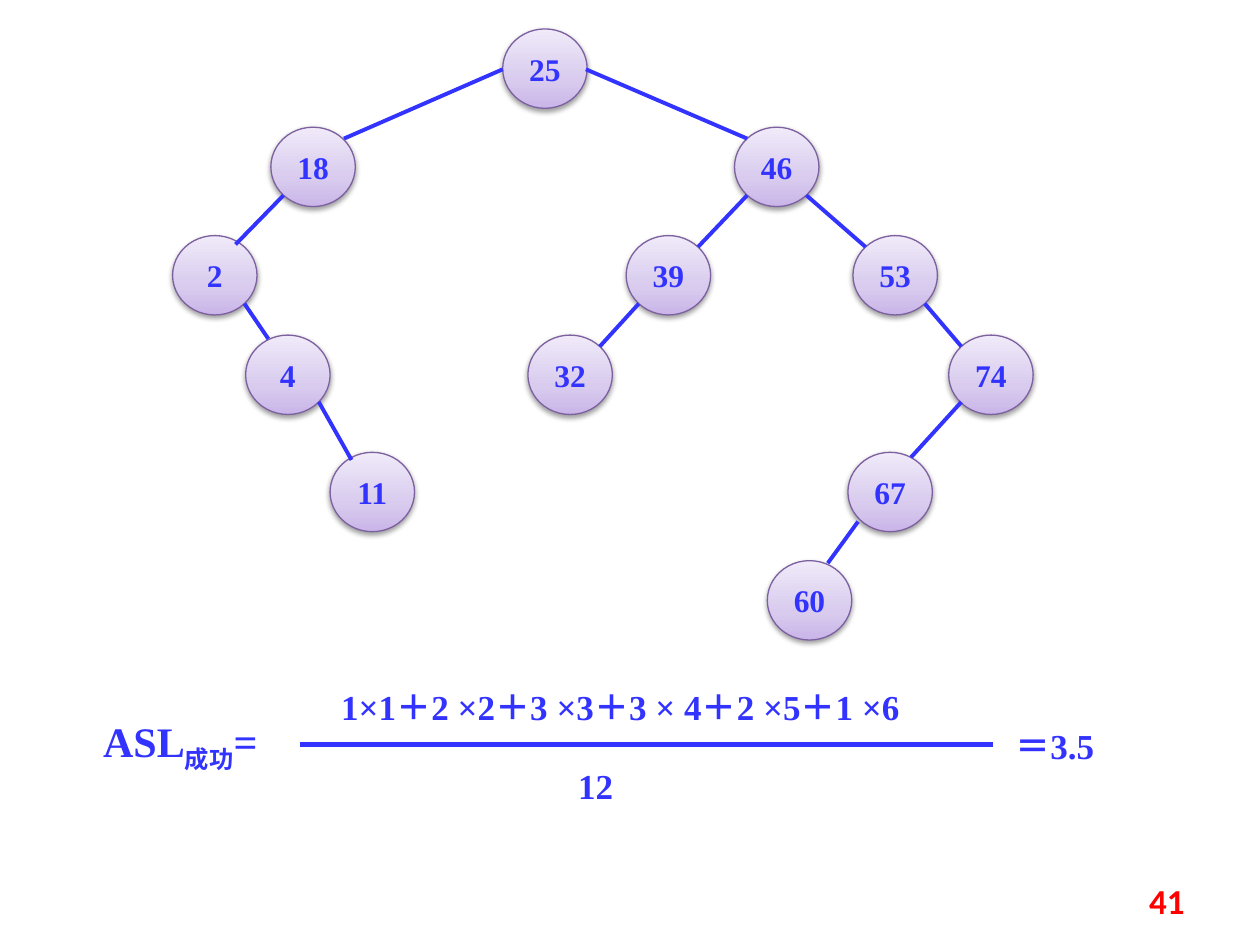
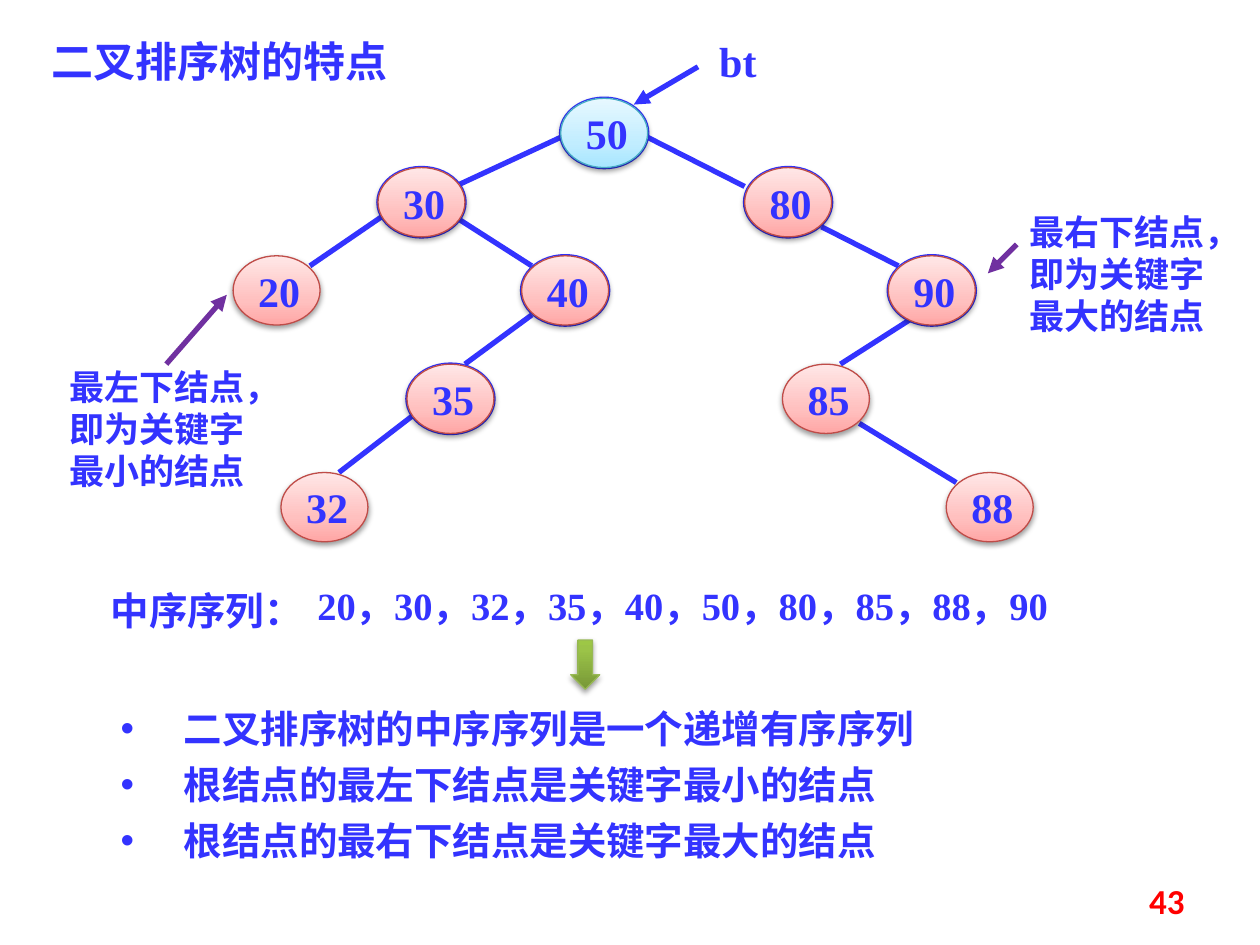
from lxml import etree
from pptx import Presentation
from pptx.dml.color import RGBColor
from pptx.enum.shapes import MSO_CONNECTOR as CONNECTOR, MSO_SHAPE as SHAPE
from pptx.enum.text import MSO_ANCHOR as ANCHOR, PP_ALIGN as ALIGN
from pptx.oxml import parse_xml
from pptx.oxml.ns import nsdecls, qn
from pptx.util import Inches, Pt

BLUE = RGBColor(0x33, 0x33, 0xFF)
PURPLE = RGBColor(0x70, 0x30, 0xA0)
RED = RGBColor(0xFF, 0x00, 0x00)
SERIF, SANS, CJK = "Times New Roman", "Calibri", "Noto Sans CJK SC"

# Styles: outline colour, then gradient stops (percent, colour) from bottom to top
VIOLET_STYLE = (RGBColor(0x7D, 0x60, 0xA0), [
    (0, RGBColor(0xC9, 0xB5, 0xE8)), (35, RGBColor(0xD8, 0xCB, 0xEE)), (100, RGBColor(0xF0, 0xEA, 0xF9))])
PINK_STYLE = (RGBColor(0xBF, 0x4C, 0x48), [
    (0, RGBColor(0xFF, 0xA6, 0xA5)), (35, RGBColor(0xFF, 0xC0, 0xBF)), (100, RGBColor(0xFF, 0xE7, 0xE7))])
CYAN_STYLE = (RGBColor(0x46, 0xAA, 0xC5), [
    (0, RGBColor(0xA7, 0xE6, 0xFF)), (35, RGBColor(0xC1, 0xED, 0xFF)), (100, RGBColor(0xE7, 0xF8, 0xFF))])
GREEN_STYLE = (RGBColor(0x98, 0xB9, 0x55), [
    (0, RGBColor(0x77, 0x97, 0x37)), (80, RGBColor(0x9B, 0xC3, 0x48)), (100, RGBColor(0x9D, 0xC7, 0x46))])


def fill_text(shape, lines, size, font=SERIF, color=BLUE, align=ALIGN.LEFT,
              anchor=ANCHOR.TOP, wrap=True, bulleted=False):
    frame = shape.text_frame
    frame.word_wrap = wrap
    frame.vertical_anchor = anchor
    frame.text = "\n".join(lines)
    for paragraph in frame.paragraphs:
        paragraph.alignment = align
        if bulleted:
            paragraph.line_spacing = Pt(32)
            properties = paragraph._p.get_or_add_pPr()
            properties.set("marL", str(Inches(0.5)))
            properties.set("indent", str(Inches(-0.5)))
            etree.SubElement(properties, qn("a:buFont")).set("typeface", "Arial")
            etree.SubElement(properties, qn("a:buChar")).set("char", "•")
        paragraph.font.size = Pt(size)
        paragraph.font.bold = True
        paragraph.font.name = font
        paragraph.font.color.rgb = color
        defaults = paragraph._p.pPr.find(qn("a:defRPr"))
        etree.SubElement(defaults, qn("a:ea")).set("typeface", SANS)
    return frame


def add_shaded_shape(slide, kind, left, top, width, height, style):
    line_color, stops = style
    shape = slide.shapes.add_shape(kind, Inches(left), Inches(top), Inches(width), Inches(height))
    shape.line.color.rgb = line_color
    shape.line.width = Pt(0.75)
    shape.shadow.inherit = False
    shape.fill.background()
    properties = shape._element.spPr
    stop_xml = "".join(f'<a:gs pos="{position * 1000}"><a:srgbClr val="{color}"/></a:gs>'
                       for position, color in stops)
    gradient = parse_xml(f'<a:gradFill {nsdecls("a")} rotWithShape="1"><a:gsLst>{stop_xml}</a:gsLst>'
                         '<a:lin ang="16200000" scaled="0"/></a:gradFill>')
    properties.replace(properties.find(qn("a:noFill")), gradient)
    properties.find(qn("a:effectLst")).append(parse_xml(
        f'<a:outerShdw {nsdecls("a")} blurRad="40000" dist="20000" dir="5400000" rotWithShape="0">'
        '<a:srgbClr val="000000"><a:alpha val="38000"/></a:srgbClr></a:outerShdw>'))
    return shape


presentation = Presentation()
presentation.slide_width = Inches(10)
presentation.slide_height = Inches(7.5)
blank = presentation.slide_layouts[6]
search_slide = presentation.slides.add_slide(blank)
features_slide = presentation.slides.add_slide(blank)

# Search tree: key, left, level
LEVEL_TOPS = [0.23, 1.01, 1.87, 2.66, 3.59, 4.45]
search_nodes = [
    (25, 3.99, 0), (18, 2.15, 1), (2, 1.37, 2), (4, 1.95, 3), (11, 2.62, 4),
    (46, 5.83, 1), (39, 4.97, 2), (32, 4.19, 3), (53, 6.77, 2), (74, 7.53, 3),
    (67, 6.73, 4), (60, 6.09, 5),
]
for key, left, level in search_nodes:
    node = add_shaded_shape(search_slide, SHAPE.OVAL, left, LEVEL_TOPS[level], 0.67, 0.63, VIOLET_STYLE)
    fill_text(node, [str(key)], 18, align=ALIGN.CENTER, anchor=ANCHOR.MIDDLE)

# Features tree: key, left, top; inner nodes have a second outline beneath
NODE_WIDTH, NODE_HEIGHT = 0.69, 0.55
leaf_nodes = [(20, 1.85, 2.03), (85, 6.21, 2.89), (88, 7.51, 3.75), (32, 2.23, 3.75)]
inner_nodes = [(50, 4.45, 0.78), (30, 3, 1.33), (80, 5.91, 1.33),
               (40, 4.14, 2.03), (90, 7.05, 2.03), (35, 3.23, 2.89)]
for key, left, top in inner_nodes:
    outline = features_slide.shapes.add_shape(
        SHAPE.OVAL, Inches(left), Inches(top), Inches(NODE_WIDTH), Inches(NODE_HEIGHT))
    outline.shadow.inherit = False
    outline.fill.background()
    outline.line.color.rgb = BLUE
    outline.line.width = Pt(2)

# Lines of both slides: from x, from y, to x, to y
search_edges = [
    (3.99, 0.55, 2.73, 1.1), (2.25, 1.55, 1.87, 1.94), (1.94, 2.41, 2.13, 2.69),
    (2.53, 3.19, 2.79, 3.65), (4.65, 0.55, 5.93, 1.1), (5.93, 1.55, 5.54, 1.96),
    (5.07, 2.41, 4.76, 2.75), (6.4, 1.55, 6.87, 1.96), (7.34, 2.41, 7.63, 2.75),
    (7.63, 3.19, 7.23, 3.63), (6.81, 4.14, 6.57, 4.47),
]
fraction_bar = [(2.38, 5.91, 7.88, 5.91)]
features_edges = [
    (4.45, 1.09, 3.61, 1.48), (3.03, 1.72, 2.46, 2.11), (5.14, 1.09, 5.91, 1.48),
    (3.61, 1.72, 4.22, 2.11), (4.22, 2.5, 3.69, 2.89), (6.52, 1.8, 7.13, 2.11),
    (7.28, 2.5, 6.67, 2.89), (6.82, 3.36, 7.59, 3.83), (3.3, 3.28, 2.69, 3.75),
]
root_arrow = [(5.54, 0.53, 5.03, 0.83)]
extreme_arrows = [(1.32, 2.89, 1.8, 2.34), (8.07, 1.94, 7.84, 2.17)]
line_groups = [
    (search_slide, search_edges, BLUE, 2.25, False),
    (search_slide, fraction_bar, BLUE, 3, False),
    (features_slide, features_edges, BLUE, 3, False),
    (features_slide, root_arrow, BLUE, 3, True),
    (features_slide, extreme_arrows, PURPLE, 3, True),
]
for slide, ends, color, width, has_arrow in line_groups:
    for end in ends:
        connector = slide.shapes.add_connector(CONNECTOR.STRAIGHT, *map(Inches, end))
        connector.line.color.rgb = color
        connector.line.width = Pt(width)
        if has_arrow:
            etree.SubElement(connector.line._get_or_add_ln(), qn("a:tailEnd")).set("type", "triangle")
        etree.SubElement(connector._element.spPr, qn("a:effectLst"))

# Features tree nodes, over the ends of the edges
for key, left, top in leaf_nodes + inner_nodes:
    style = CYAN_STYLE if key == 50 else PINK_STYLE
    node = add_shaded_shape(features_slide, SHAPE.OVAL, left, top, NODE_WIDTH, NODE_HEIGHT, style)
    fill_text(node, [str(key)], 24, anchor=ANCHOR.MIDDLE, wrap=False)

# Arrow from the sequence to the conclusions
add_shaded_shape(features_slide, SHAPE.DOWN_ARROW, 4.53, 5.08, 0.23, 0.39, GREEN_STYLE)

# Text boxes: slide, left, top, width, height, text, size, font
labels = [
    (search_slide, 2.61, 5.39, 5.67, 0.43, "1×1＋2 ×2＋3 ×3＋3 × 4＋2 ×5＋1 ×6", 20, SERIF),
    (search_slide, 4.49, 6.02, 0.71, 0.43, "12", 20, SERIF),
    (search_slide, 7.96, 5.7, 1.02, 0.43, "＝3.5", 20, SERIF),
    (features_slide, 5.61, 0.23, 0.94, 0.47, "bt", 24, SERIF),
    (features_slide, 0.45, 2.85, 1.65, 1.11, "最左下结点，即为关键字最小的结点", 20, SERIF),
    (features_slide, 8.07, 1.62, 1.65, 1.11, "最右下结点，即为关键字最大的结点", 20, SERIF),
    (features_slide, 0.78, 4.61, 1.95, 0.47, "中序序列：", 22, SERIF),
    (features_slide, 2.42, 4.57, 6.72, 0.47, "20，30，32，35，40，50，80，85，88，90", 22, SERIF),
    (features_slide, 0.31, 0.23, 3.44, 0.5, "二叉排序树的特点", 24, CJK),
]
for slide, left, top, width, height, text, size, font in labels:
    box = slide.shapes.add_textbox(Inches(left), Inches(top), Inches(width), Inches(height))
    fill_text(box, [text], size, font)

# Left side of the formula, with a subscript
box = search_slide.shapes.add_textbox(Inches(0.72), Inches(5.63), Inches(1.65), Inches(0.5))
paragraph = fill_text(box, ["ASL"], 24).paragraphs[0]
subscript = paragraph.add_run()
subscript.text = "成功"
subscript.font.name = CJK
subscript._r.get_or_add_rPr().set("baseline", "-25000")
paragraph.add_run().text = "="

# Conclusions
conclusions = [
    "二叉排序树的中序序列是一个递增有序序列",
    "根结点的最左下结点是关键字最小的结点",
    "根结点的最右下结点是关键字最大的结点",
]
box = features_slide.shapes.add_textbox(Inches(0.86), Inches(5.47), Inches(7.19), Inches(1.45))
fill_text(box, conclusions, 22, bulleted=True)

# Page numbers
for slide, number in [(search_slide, "41"), (features_slide, "43")]:
    box = slide.shapes.add_textbox(Inches(7.17), Inches(6.95), Inches(2.33), Inches(0.4))
    fill_text(box, [number], 20, SANS, RED, ALIGN.RIGHT, ANCHOR.MIDDLE)

presentation.save("out.pptx")
